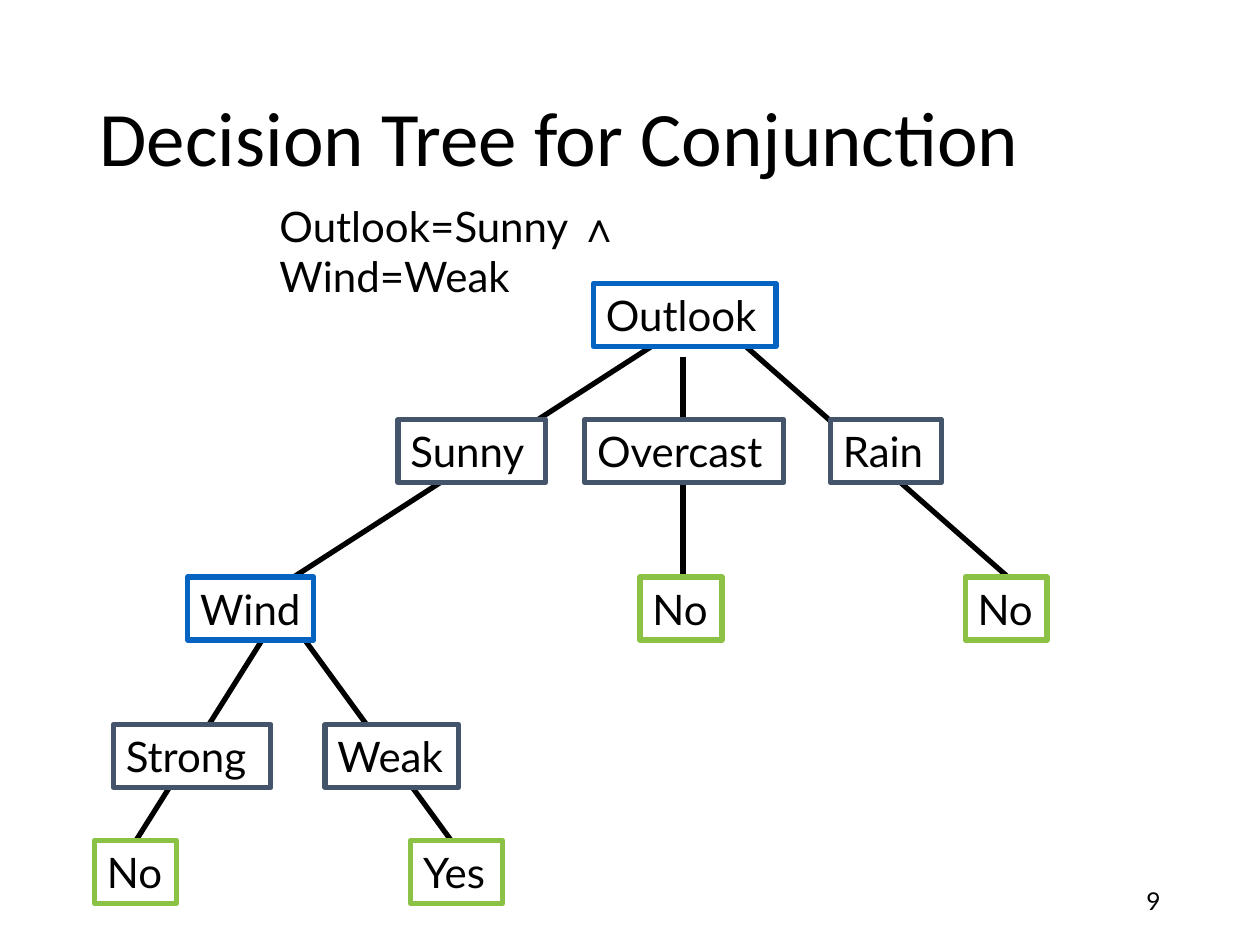
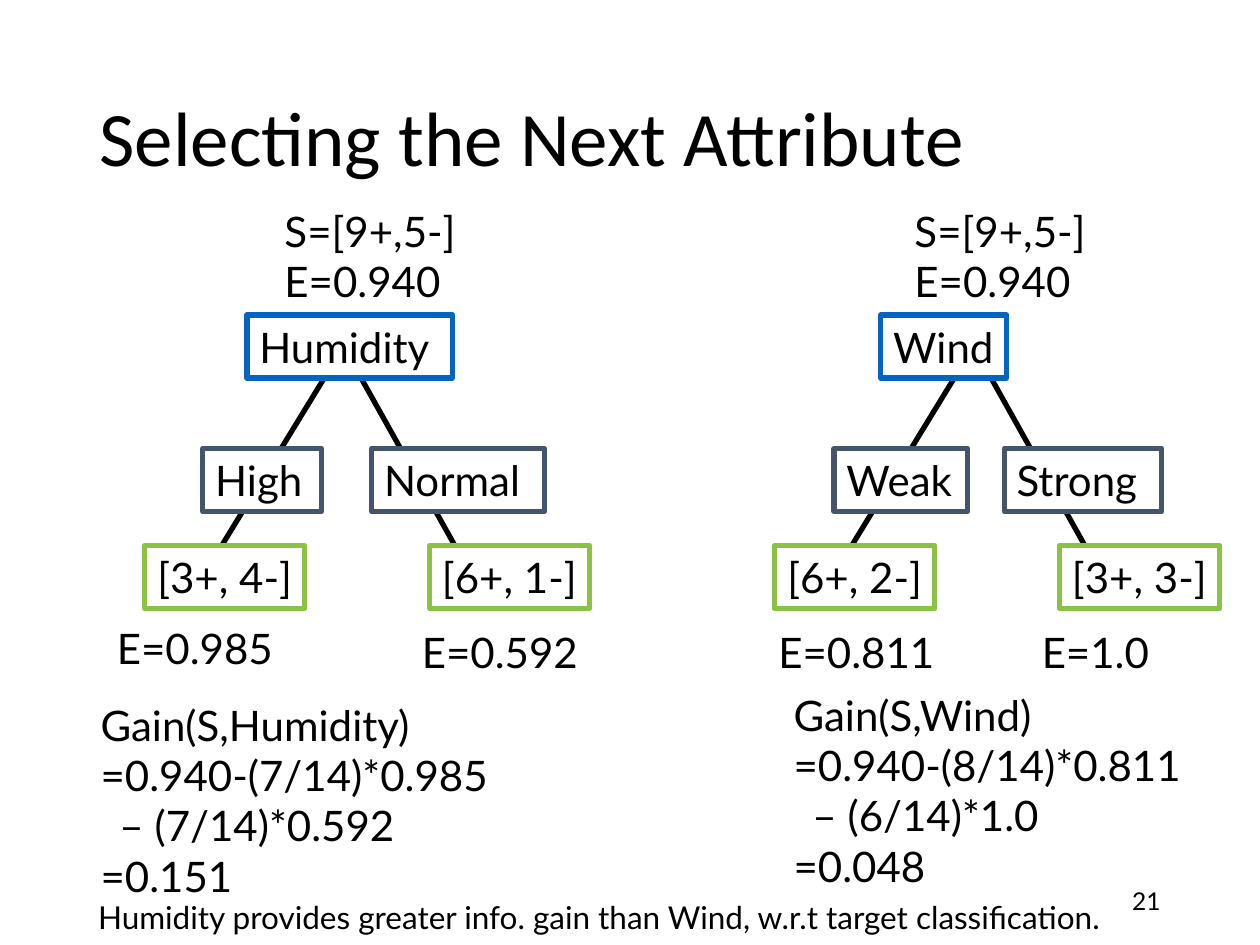
from lxml import etree
from pptx import Presentation
from pptx.dml.color import RGBColor
from pptx.enum.shapes import MSO_CONNECTOR, MSO_SHAPE
from pptx.enum.text import MSO_ANCHOR, MSO_AUTO_SIZE, PP_ALIGN
from pptx.oxml.ns import qn
from pptx.util import Inches, Pt

RECT = MSO_SHAPE.RECTANGLE
STRAIGHT = MSO_CONNECTOR.STRAIGHT
TOP, MIDDLE = MSO_ANCHOR.TOP, MSO_ANCHOR.MIDDLE
LEFT, RIGHT = PP_ALIGN.LEFT, PP_ALIGN.RIGHT
FIXED = MSO_AUTO_SIZE.NONE

COLORS = {"ink": "000000", "paper": "FFFFFF", "test": "0563C1",
          "branch": "44546A", "leaf": "8BC145"}
FRAME = {"word_wrap": True, "auto_size": FIXED, "vertical_anchor": TOP,
         "margin_left": Inches(0.1), "margin_right": 0,
         "margin_top": Inches(0.05), "margin_bottom": Inches(0.05)}
HIGH = 0.5
HALF = 5


def assign(target, values):
    for name, value in values.items():
        setattr(target, name, value)


def color(name):
    return RGBColor.from_string(COLORS[name])


class Deck:
    def __init__(self):
        self.show = Presentation()
        assign(self.show, {"slide_width": Inches(10), "slide_height": Inches(7.5)})
        self.slide = None

    def page(self, title, number):
        self.slide = self.show.slides.add_slide(self.show.slide_layouts[5])
        head = self.slide.shapes.title
        spots = ("left", "top", "width", "height")
        assign(head, dict(zip(spots, map(Inches, (0.69, 0.4, 8.63, 1.45)))))
        self.label(head, [title], 44, "Calibri", {"vertical_anchor": MIDDLE},
                   {"line_spacing": 0.9})
        self.text([number], 7.06, 6.95, 2.25, 0.4, 14,
                  {"vertical_anchor": MIDDLE, "margin_right": Inches(0.1)},
                  {"alignment": RIGHT})

    def label(self, shape, lines, size=24, face="Lato", frame=None, para=None):
        body = shape.text_frame
        assign(body, FRAME | (frame or {}))
        for i, line in enumerate(lines):
            item = body.add_paragraph() if i else body.paragraphs[0]
            assign(item, {"alignment": LEFT} | (para or {}))
            self.words(item, line, size, face)
        return body

    def words(self, item, words, size=24, face="Lato"):
        part = item.add_run()
        part.text = words
        assign(part.font, {"size": Pt(size), "name": face})
        part.font.color.rgb = color("ink")

    def text(self, lines, x, y, w, h=HIGH, size=24, frame=None, para=None):
        box = self.slide.shapes.add_textbox(*map(Inches, (x, y, w, h)))
        return self.label(box, lines, size, "Lato", frame, para)

    def node(self, words, kind, x, y, w):
        box = self.slide.shapes.add_shape(RECT, *map(Inches, (x, y, w, HIGH)))
        box.shadow.inherit = False
        box.fill.solid()
        box.fill.fore_color.rgb = color("paper")
        box.line.color.rgb = color(kind)
        box.line.width = Pt(3)
        self.label(box, [words])

    def edge(self, *ends):
        line = self.slide.shapes.add_connector(STRAIGHT, *map(Inches, ends))
        line.line.color.rgb = color("ink")
        line.line.width = Pt(3)
        etree.SubElement(line._element.spPr, qn("a:effectLst"))

    def tree(self, edges, rows):
        for ends in edges:
            self.edge(*ends)
        for kind, y, nodes in rows:
            for words, x, w in nodes:
                self.node(words, kind, x, y, w)

    def gain(self, lines, x, y):
        body = self.text(lines, x, y, 3.37, 1.7)
        body.paragraphs[2]._p.get_or_add_pPr().set("marL", str(Inches(0.15)))


def outlook(deck):
    deck.page("Decision Tree for Conjunction", "9")
    deck.tree(
        [(5.17, 2.75, 2.33, 4.58), (5.92, 2.75, 8, 4.58), (2.08, 5.08, 1.08, 6.67),
         (2.42, 5.08, 3.58, 6.67), (5.42, 2.83, 5.42, 4.58)],
        [("test", 2.25, [("Outlook", 4.71, 1.45)]),
         ("branch", 3.33, [("Sunny", 3.16, 1.17), ("Overcast", 4.64, 1.58),
                           ("Rain", 6.59, 0.88)]),
         ("test", 4.58, [("Wind", 1.49, 1)]),
         ("leaf", 4.58, [("No", 5.08, 0.65), ("No", 7.66, 0.65)]),
         ("branch", 5.75, [("Strong", 0.9, 1.25), ("Weak", 2.58, 1.06)]),
         ("leaf", 6.67, [("No", 0.75, 0.65), ("Yes", 3.26, 0.73)])])
    rule = deck.text(["Outlook=Sunny "], 2.12, 1.54, 4.76, 0.9).paragraphs[0]
    deck.words(rule, "∧", face="Arial")
    rule.add_line_break()
    deck.words(rule, "Wind=Weak")


def select(deck):
    deck.page("Selecting the Next Attribute", "21")
    splits = [
        (("Humidity", 1.96, 1.63), [("High", 1.61, 0.94), ("Normal", 2.95, 1.37)],
         ("[3+, 4-]", "[6+, 1-]")),
        (("Wind", 6.99, 1), [("Weak", 6.62, 1.06), ("Strong", 7.97, 1.25)],
         ("[6+, 2-]", "[3+, 3-]"))]
    for i, (root, limbs, counts) in enumerate(splits):
        dx = i * HALF
        leaves = [(count, x + dx, 1.27) for count, x in zip(counts, (1.15, 3.41))]
        deck.tree([(2.58 + dx, 2.99, 1.76 + dx, 4.33), (2.86 + dx, 2.99, 3.61 + dx, 4.33)],
                  [("test", 2.5, [root]), ("branch", 3.56, limbs), ("leaf", 4.33, leaves)])
        deck.text(["S=[9+,5-]", "E=0.940"], 2.16 + dx, 1.58, 1.56, 0.9)
    deck.text(["E=0.985"], 0.83, 5, 1.6, 0.38, para={"line_spacing": 0.7})
    for words, x in (("E=0.592", 3.25), ("E=0.811", 6.08), ("E=1.0", 8.17)):
        deck.text([words], x, 4.92, 1.6)
    deck.gain(["Gain(S,Humidity)", "=0.940-(7/14)*0.985", "– (7/14)*0.592", "=0.151"],
              0.7, 5.5)
    deck.gain(["Gain(S,Wind)", "=0.940-(8/14)*0.811", "– (6/14)*1.0", "=0.048"],
              6.2, 5.42)
    deck.text(["Humidity provides greater info. gain than Wind, w.r.t target classification."],
              0.68, 7.08, 8.8, 0.4, 18)


def main():
    deck = Deck()
    outlook(deck)
    select(deck)
    deck.show.save("out.pptx")


if __name__ == "__main__":
    main()
